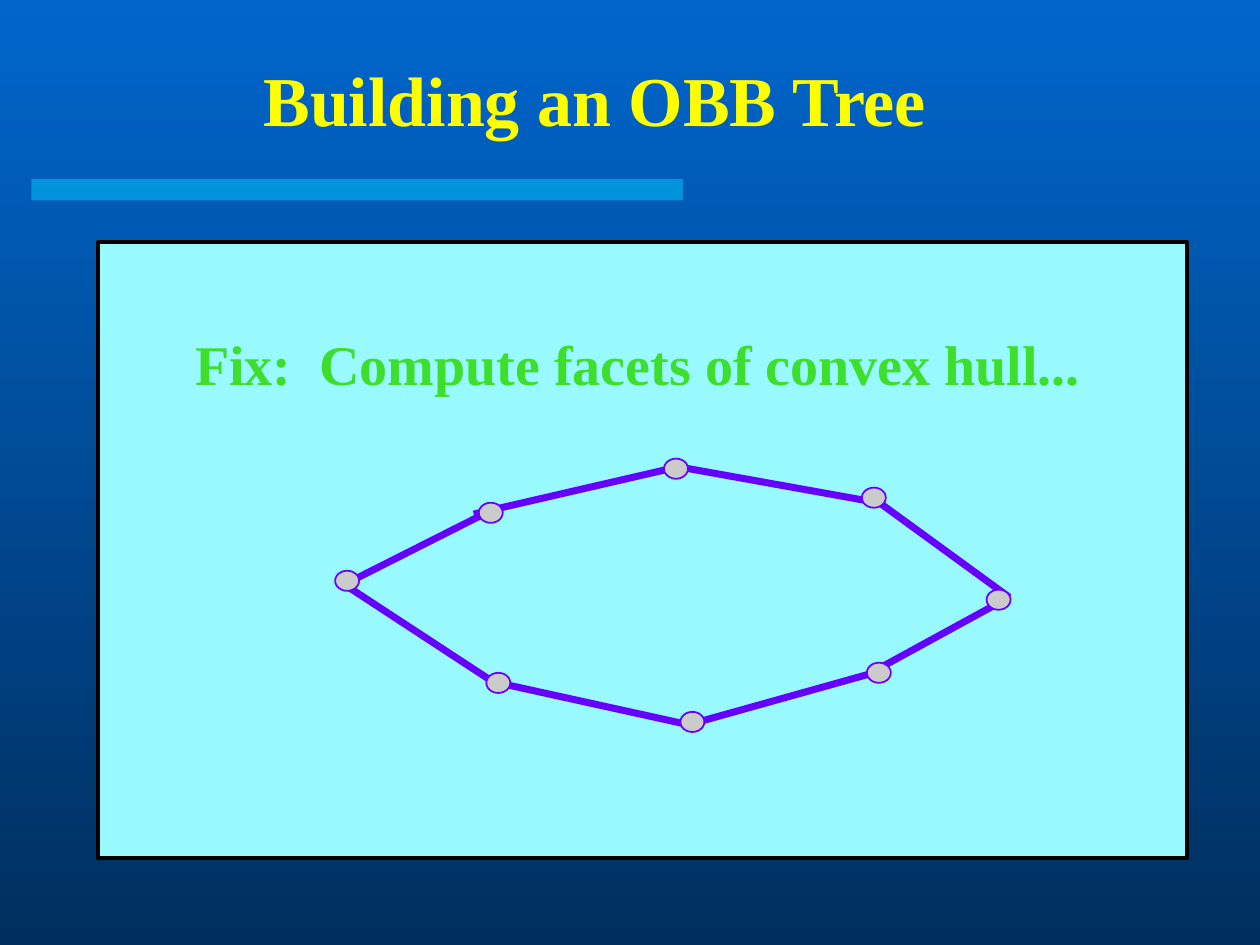
"""Build the 'Building an OBB Tree' slide with its convex hull diagram."""
import lxml.etree
import pptx
import pptx.dml.color
import pptx.enum.shapes
import pptx.enum.text
import pptx.oxml.ns
import pptx.util

Inches = pptx.util.Inches
Pt = pptx.util.Pt
SHAPE = pptx.enum.shapes.MSO_SHAPE
qn = pptx.oxml.ns.qn


def color(hex_string):
    return pptx.dml.color.RGBColor.from_string(hex_string)


def add_text(shapes, box, text, size, text_color):
    label = shapes.add_textbox(*map(Inches, box))
    run = label.text_frame.paragraphs[0].add_run()
    run.text = text
    run.font.name = "Times New Roman"
    run.font.size = Pt(size)
    run.font.bold = True
    run.font.color.rgb = color(text_color)
    return label.text_frame


presentation = pptx.Presentation()
presentation.slide_width = Inches(10)
presentation.slide_height = Inches(7.5)
slide = presentation.slides.add_slide(presentation.slide_layouts[6])

backdrop = slide.background.fill
backdrop.gradient()
backdrop.gradient_angle = 270
for stop, shade in zip(backdrop.gradient_stops, ("0066CC", "002F5E")):
    stop.color.rgb = color(shade)

accent_bar = slide.shapes.add_shape(
    SHAPE.RECTANGLE, Inches(0.25), Inches(1.42), Inches(5.17), Inches(0.17))
accent_bar.shadow.inherit = False
accent_bar.fill.solid()
accent_bar.fill.fore_color.rgb = color("00CCFF")
accent_bar.line.fill.background()
accent_color = accent_bar.fill._xPr.find(".//" + qn("a:srgbClr"))
lxml.etree.SubElement(accent_color, qn("a:alpha"), val="50000")

diagram = slide.shapes.add_group_shape().shapes
panel = diagram.add_shape(
    SHAPE.RECTANGLE, Inches(0.78), Inches(1.92), Inches(8.64), Inches(4.89))
panel.shadow.inherit = False
panel.fill.solid()
panel.fill.fore_color.rgb = color("98FAFF")
panel.line.color.rgb = color("000000")
panel.line.width = Pt(2)

caption = add_text(diagram, (1.45, 2.57, 7.24, 0.63),
                   "Fix:  Compute facets of convex hull...", 32, "3DDE2C")
caption.word_wrap = False
caption.auto_size = pptx.enum.text.MSO_AUTO_SIZE.SHAPE_TO_FIT_TEXT

hull_edges = [
    (2.79, 4.61, 3.84, 4.08),
    (3.91, 5.41, 5.41, 5.74),
    (3.76, 4.08, 5.32, 3.72),
    (2.72, 4.63, 3.88, 5.39),
    (5.47, 5.75, 6.97, 5.33),
    (5.3, 3.69, 6.97, 3.99),
    (6.93, 5.33, 8.01, 4.74),
    (6.87, 3.91, 8.01, 4.74),
]
for ends in hull_edges:
    edge = diagram.add_connector(
        pptx.enum.shapes.MSO_CONNECTOR.STRAIGHT, *map(Inches, ends))
    edge.line.color.rgb = color("6600FF")
    edge.line.width = Pt(4)
    lxml.etree.SubElement(edge._element.spPr, qn("a:effectLst"))

hull_vertices = [
    (7.83, 4.68), (6.88, 5.26), (6.84, 3.87), (5.27, 3.64),
    (5.4, 5.65), (3.86, 5.34), (3.8, 3.99), (2.66, 4.53),
]
for left, top in hull_vertices:
    vertex = diagram.add_shape(
        SHAPE.OVAL, Inches(left), Inches(top), Inches(0.19), Inches(0.16))
    vertex.shadow.inherit = False
    vertex.fill.solid()
    vertex.fill.fore_color.rgb = color("CBCBCB")
    vertex.line.color.rgb = color("6600FF")
    vertex.line.width = Pt(1)

title = add_text(slide.shapes, (0.29, 0.32, 8.86, 0.93),
                 "Building an OBB Tree", 40, "FFFF00")
title.word_wrap = True
title.vertical_anchor = pptx.enum.text.MSO_ANCHOR.MIDDLE
title.paragraphs[0].alignment = pptx.enum.text.PP_ALIGN.CENTER

presentation.save("out.pptx")
